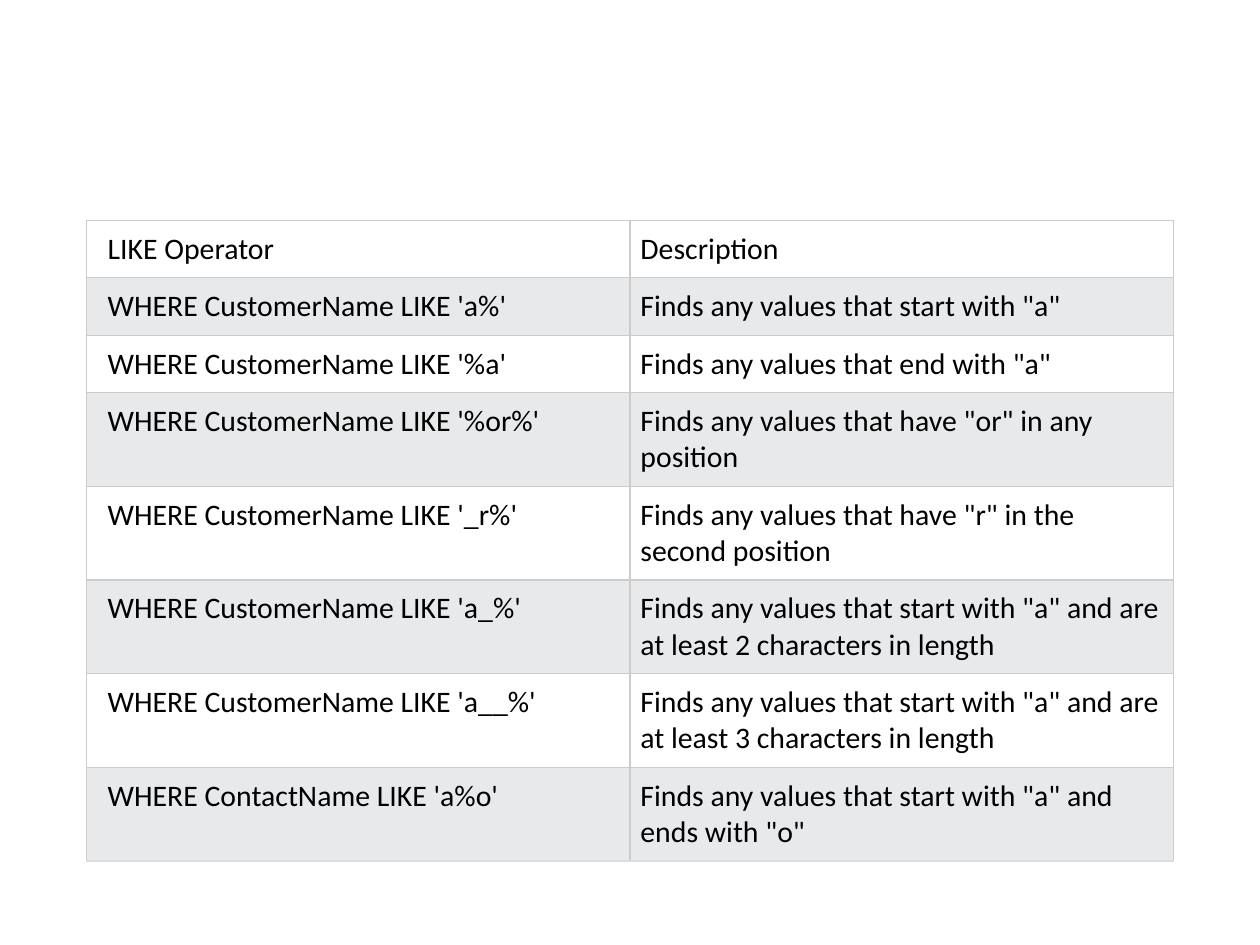
"""Build a slide with a table of SQL LIKE patterns."""
from dataclasses import dataclass

from lxml import etree
from pptx import Presentation
from pptx import util as u
from pptx.dml.color import RGBColor
from pptx.oxml import ns


@dataclass(frozen=True)
class Theme:
    """Colours, type and line sizes of the slide."""
    font: str = "Calibri"
    size: float = 17
    ink: str = "000000"
    fills: tuple = ("FFFFFF", "E7E9EB")
    border: str = "CCCCCC"
    last_border: str = "DDDDDD"
    border_width: float = 0.75
    inset: float = 6
    first_inset: float = 12


THEME = Theme()
ROWS = [
    ("LIKE Operator", "Description"),
    ("WHERE CustomerName LIKE 'a%'", 'Finds any values that start with "a"'),
    ("WHERE CustomerName LIKE '%a'", 'Finds any values that end with "a"'),
    ("WHERE CustomerName LIKE '%or%'", 'Finds any values that have "or" in any position'),
    ("WHERE CustomerName LIKE '_r%'", 'Finds any values that have "r" in the second position'),
    ("WHERE CustomerName LIKE 'a_%'",
     'Finds any values that start with "a" and are at least 2 characters in length'),
    ("WHERE CustomerName LIKE 'a__%'",
     'Finds any values that start with "a" and are at least 3 characters in length'),
    ("WHERE ContactName LIKE 'a%o'", 'Finds any values that start with "a" and ends with "o"'),
]
ROW_HEIGHTS = [32] * 3 + [52.5] * 5


def set_values(target, values):
    """Set attributes of an object from a dict."""
    for name, value in values.items():
        setattr(target, name, value)


def add_borders(cell, colours):
    """Draw the cell's borders, given a colour for each side."""
    properties = cell._tc.get_or_add_tcPr()
    for index, (side, colour) in enumerate(colours.items()):
        line = etree.Element(ns.qn(f"a:ln{side}"), w=str(u.Pt(THEME.border_width)))
        fill = etree.SubElement(line, ns.qn("a:solidFill"))
        etree.SubElement(fill, ns.qn("a:srgbClr"), val=colour)
        properties.insert(index, line)


def format_cell(cell, content, fill, left_inset, bottom_border):
    """Fill in one cell with its text, colour, insets and borders."""
    inset = u.Pt(THEME.inset)
    set_values(cell, {"text": content, "margin_left": u.Pt(left_inset), "margin_right": inset,
                      "margin_top": inset, "margin_bottom": inset})
    cell.fill.solid()
    cell.fill.fore_color.rgb = RGBColor.from_string(fill)
    font = cell.text_frame.paragraphs[0].runs[0].font
    set_values(font, {"name": THEME.font, "size": u.Pt(THEME.size), "bold": False})
    font.color.rgb = RGBColor.from_string(THEME.ink)
    add_borders(cell, {**dict.fromkeys("LRT", THEME.border), "B": bottom_border})


def add_operator_table(slide, left, top, width):
    """Place the operator table with two equal columns in the given box."""
    shape = slide.shapes.add_table(len(ROWS), 2, u.Pt(left), u.Pt(top), u.Pt(width),
                                   u.Pt(sum(ROW_HEIGHTS)))
    table = shape.table
    set_values(table, {"first_row": False, "horz_banding": False})
    for column in table.columns:
        column.width = u.Pt(width / 2)
    for row_index, (contents, height) in enumerate(zip(ROWS, ROW_HEIGHTS)):
        table.rows[row_index].height = u.Pt(height)
        is_last = row_index == len(ROWS) - 1
        for column_index, content in enumerate(contents):
            format_cell(table.cell(row_index, column_index), content,
                        THEME.fills[row_index % 2],
                        THEME.inset if column_index else THEME.first_inset,
                        THEME.last_border if is_last else THEME.border)


def main():
    """Create and save the presentation."""
    presentation = Presentation()
    set_values(presentation, {"slide_width": u.Pt(720), "slide_height": u.Pt(540)})
    slide = presentation.slides.add_slide(presentation.slide_layouts[6])
    add_operator_table(slide, left=49.5, top=126, width=621)
    presentation.save("out.pptx")


main()
